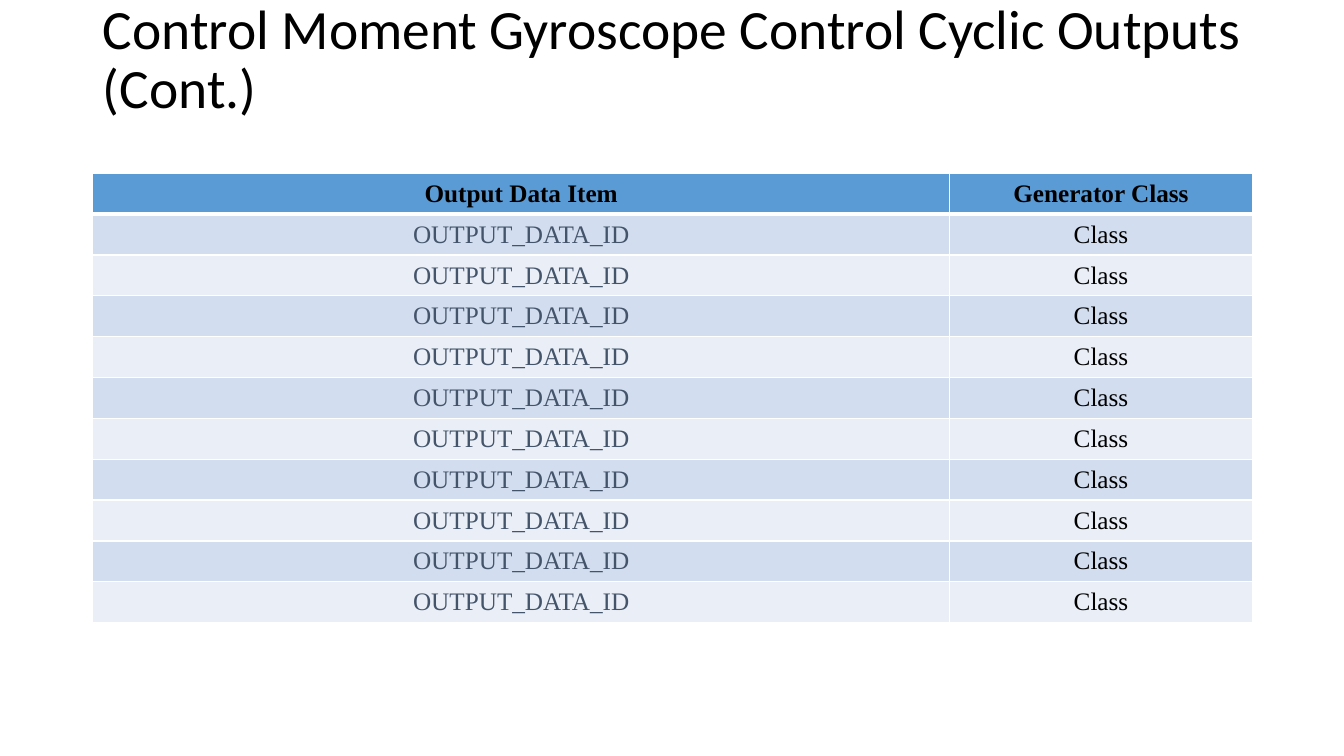
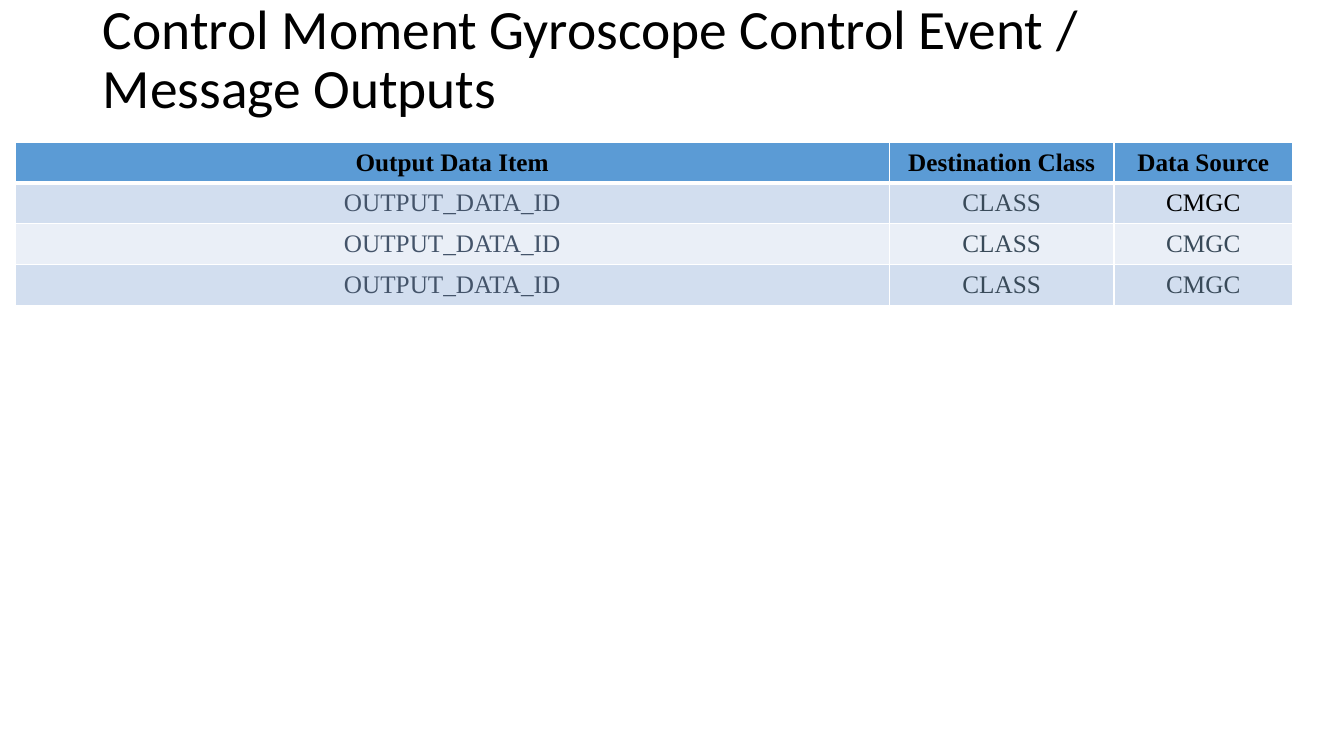
from dataclasses import dataclass

from lxml import etree
from pptx import Presentation
from pptx import util as u
from pptx.dml.color import RGBColor
from pptx.enum import text
from pptx.oxml import ns

PX = 9144  # EMU per px, 100 px to the inch
COLORS = {
    "black": "000000", "white": "FFFFFF", "slate": "44546A", "steel": "394A59",
    "header": "5B9BD5", "band_dark": "D2DEEF", "band_light": "EAEFF7",
}
TITLE_BOX = (92, 7, 1150, 107)


@dataclass
class Column:
    heading: str
    entry: str
    width: int
    colors: list[str]  # one per body row


@dataclass
class OutputSlide:
    title: str
    left: int
    top: int
    height: int
    body_rows: int
    columns: list[Column]


def px(length: float) -> u.Emu:
    return u.Emu(round(length * PX))


def write(frame, words: str, *, font: str, size: float, color: str,
          bold: bool = False, align=text.PP_ALIGN.LEFT):
    """Fill a text frame with one formatted paragraph."""
    paragraph = frame.paragraphs[0]
    paragraph.alignment = align
    run = paragraph.add_run()
    run.text = words
    run.font.name, run.font.size, run.font.bold = font, u.Pt(size), bold
    run.font.color.rgb = RGBColor.from_string(COLORS[color])
    return paragraph


def space_by_percent(paragraph, percent: int) -> None:
    properties = paragraph._p.get_or_add_pPr()
    for tag in ("a:spcBef", "a:spcAft"):
        spacing = etree.SubElement(properties, ns.qn(tag))
        etree.SubElement(spacing, ns.qn("a:spcPct"), val=str(percent * 1000))


def border(cell, top: int, bottom: int) -> None:
    """Draw white cell edges, with widths in points."""
    properties = cell._tc.get_or_add_tcPr()
    for side, width in (("L", 1), ("R", 1), ("T", top), ("B", bottom)):
        edge = etree.SubElement(properties, ns.qn(f"a:ln{side}"), w=str(u.Pt(width)))
        fill = etree.SubElement(edge, ns.qn("a:solidFill"))
        etree.SubElement(fill, ns.qn("a:srgbClr"), val=COLORS["white"])


def fill_cell(cell, words: str, row: int, color: str) -> None:
    is_header = row == 0
    border(cell, top=3 if row == 1 else 1, bottom=3 if is_header else 1)
    band = "header" if is_header else ("band_light", "band_dark")[row % 2]
    cell.fill.solid()
    cell.fill.fore_color.rgb = RGBColor.from_string(COLORS[band])
    cell.vertical_anchor = text.MSO_ANCHOR.MIDDLE
    paragraph = write(cell.text_frame, words, font="Times New Roman", size=18,
                      color=color, bold=is_header, align=text.PP_ALIGN.CENTER)
    space_by_percent(paragraph, 20)


def add_title(slide, words: str) -> None:
    title = slide.shapes.title
    title.left, title.top, title.width, title.height = map(px, TITLE_BOX)
    frame = title.text_frame
    frame.auto_size = text.MSO_AUTO_SIZE.NONE
    frame.word_wrap = True
    frame.vertical_anchor = text.MSO_ANCHOR.MIDDLE
    write(frame, words, font="Calibri", size=39.6, color="black").line_spacing = 0.9


def add_output_table(slide, content: OutputSlide) -> None:
    row_count = content.body_rows + 1
    width = sum(column.width for column in content.columns)
    table = slide.shapes.add_table(
        row_count, len(content.columns),
        px(content.left), px(content.top), px(width), px(content.height)).table
    for row in table.rows:
        row.height = px(content.height / row_count)
    for index, column in enumerate(content.columns):
        table.columns[index].width = px(column.width)
        fill_cell(table.cell(0, index), column.heading, 0, "black")
        for row, color in enumerate(column.colors, start=1):
            fill_cell(table.cell(row, index), column.entry, row, color)


OUTPUT_SLIDES = [
    OutputSlide(
        "Control Moment Gyroscope Control Cyclic Outputs (Cont.)",
        left=92, top=172, height=446, body_rows=10, columns=[
            Column("Output Data Item", "OUTPUT_DATA_ID", 850, ["slate"] * 10),
            Column("Generator Class", "Class", 300, ["black"] * 10),
        ]),
    OutputSlide(
        "Control Moment Gyroscope Control Event / Message Outputs",
        left=15, top=141, height=162, body_rows=3, columns=[
            Column("Output Data Item", "OUTPUT_DATA_ID", 867, ["slate"] * 3),
            Column("Destination Class", "CLASS", 223, ["steel"] * 3),
            Column("Data Source", "CMGC", 177, ["black", "steel", "steel"]),
        ]),
]


def main() -> None:
    deck = Presentation()
    deck.slide_width, deck.slide_height = px(1333), px(750)
    title_only = deck.slide_layouts[5]
    for content in OUTPUT_SLIDES:
        slide = deck.slides.add_slide(title_only)
        add_title(slide, content.title)
        add_output_table(slide, content)
    deck.save("out.pptx")


if __name__ == "__main__":
    main()
